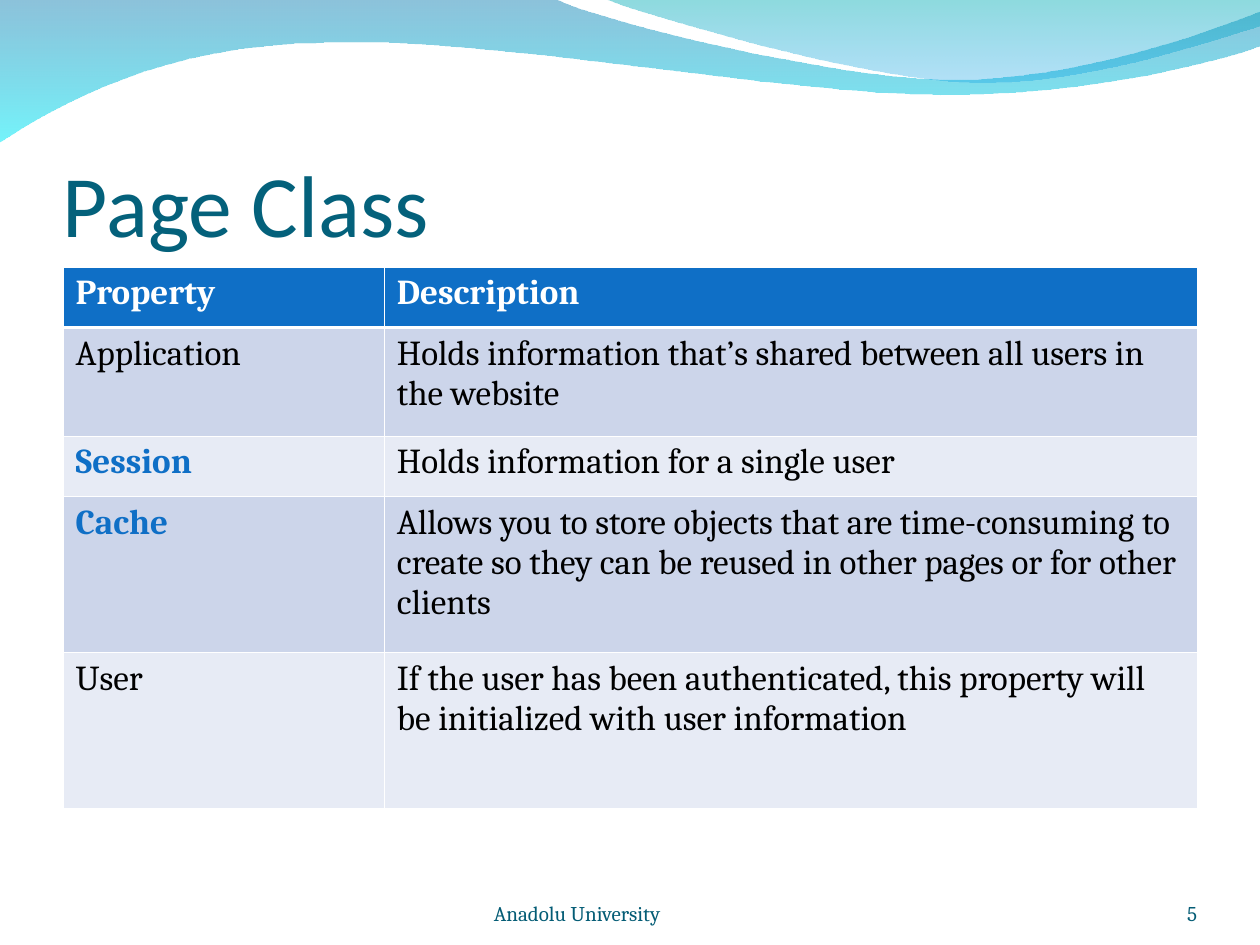
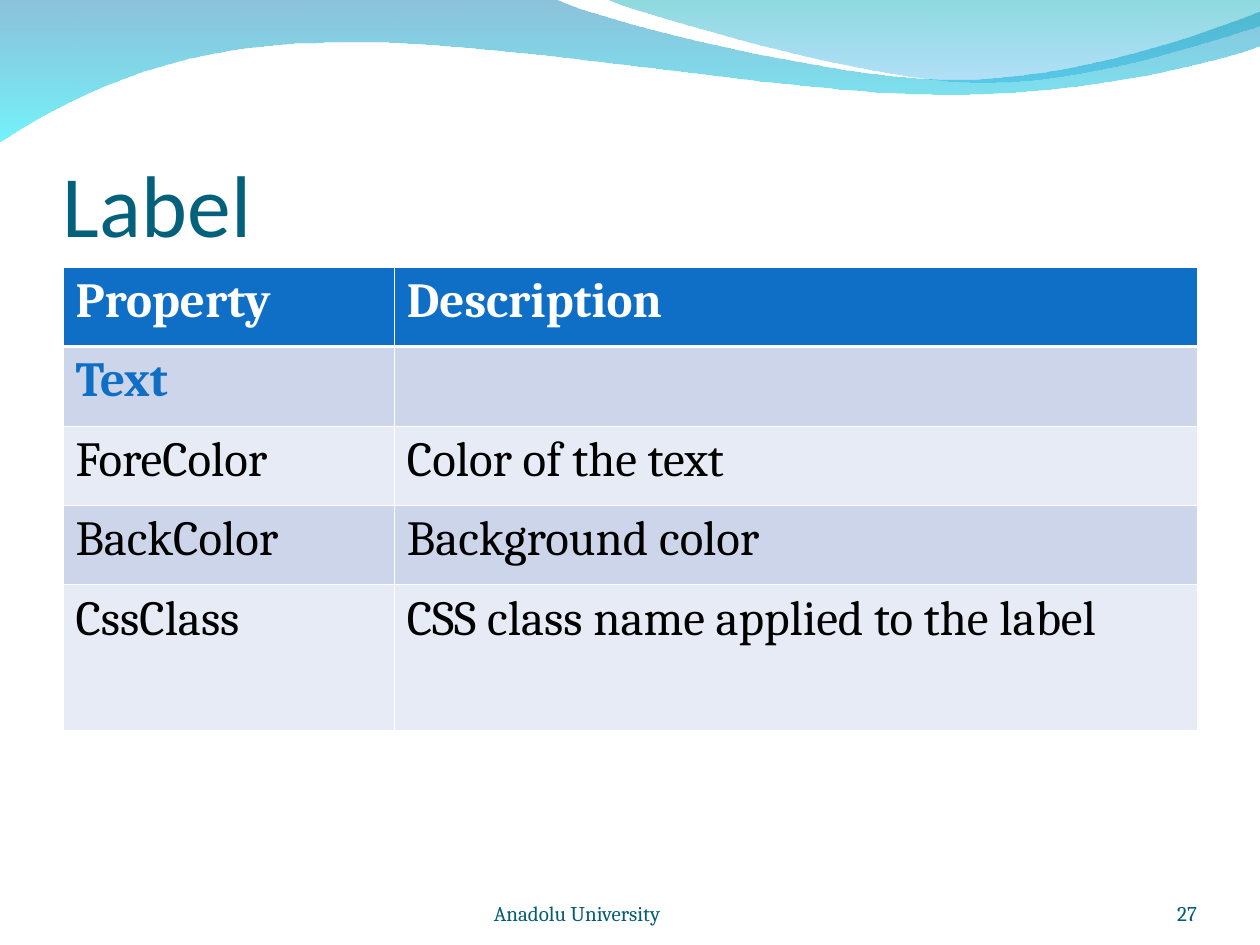
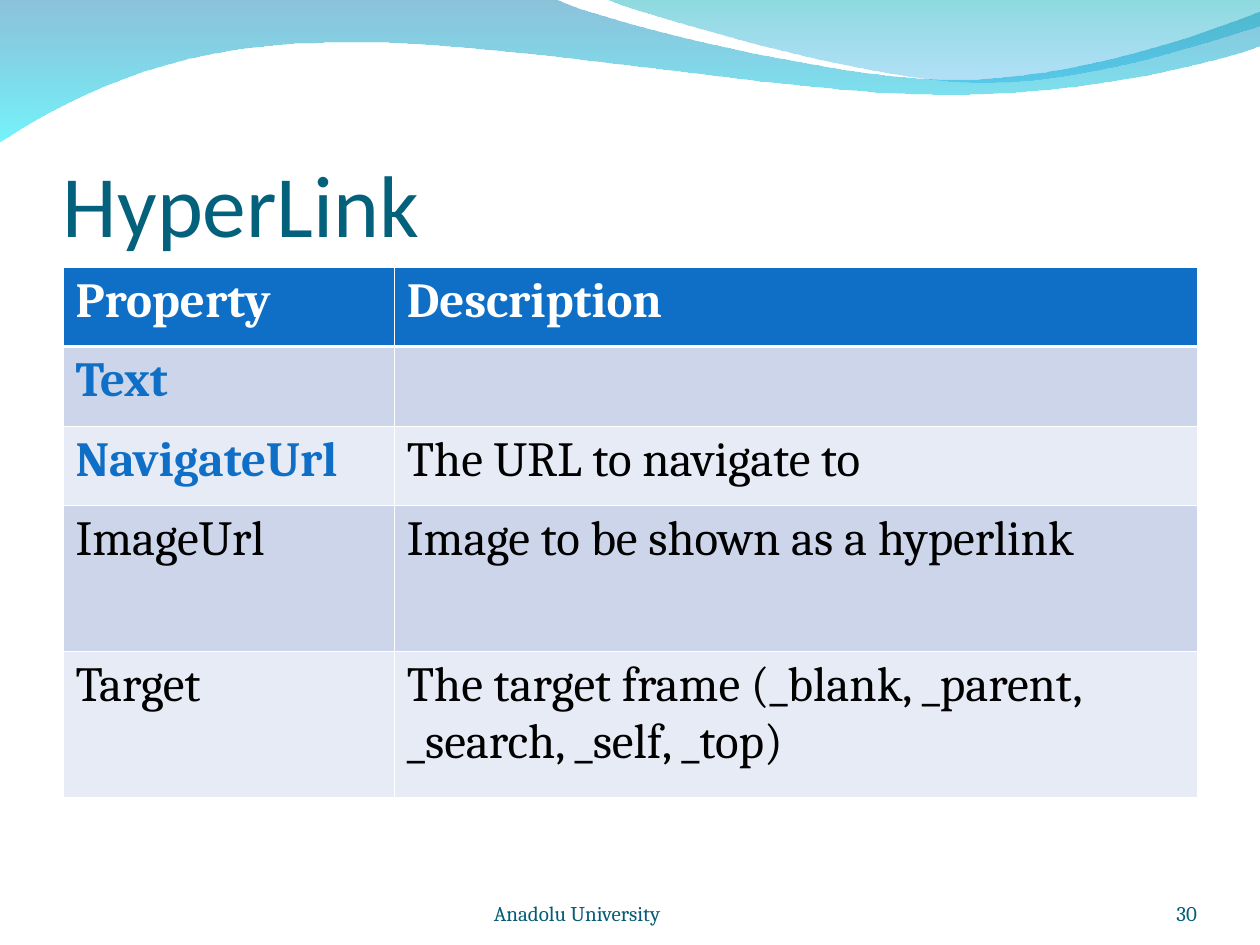
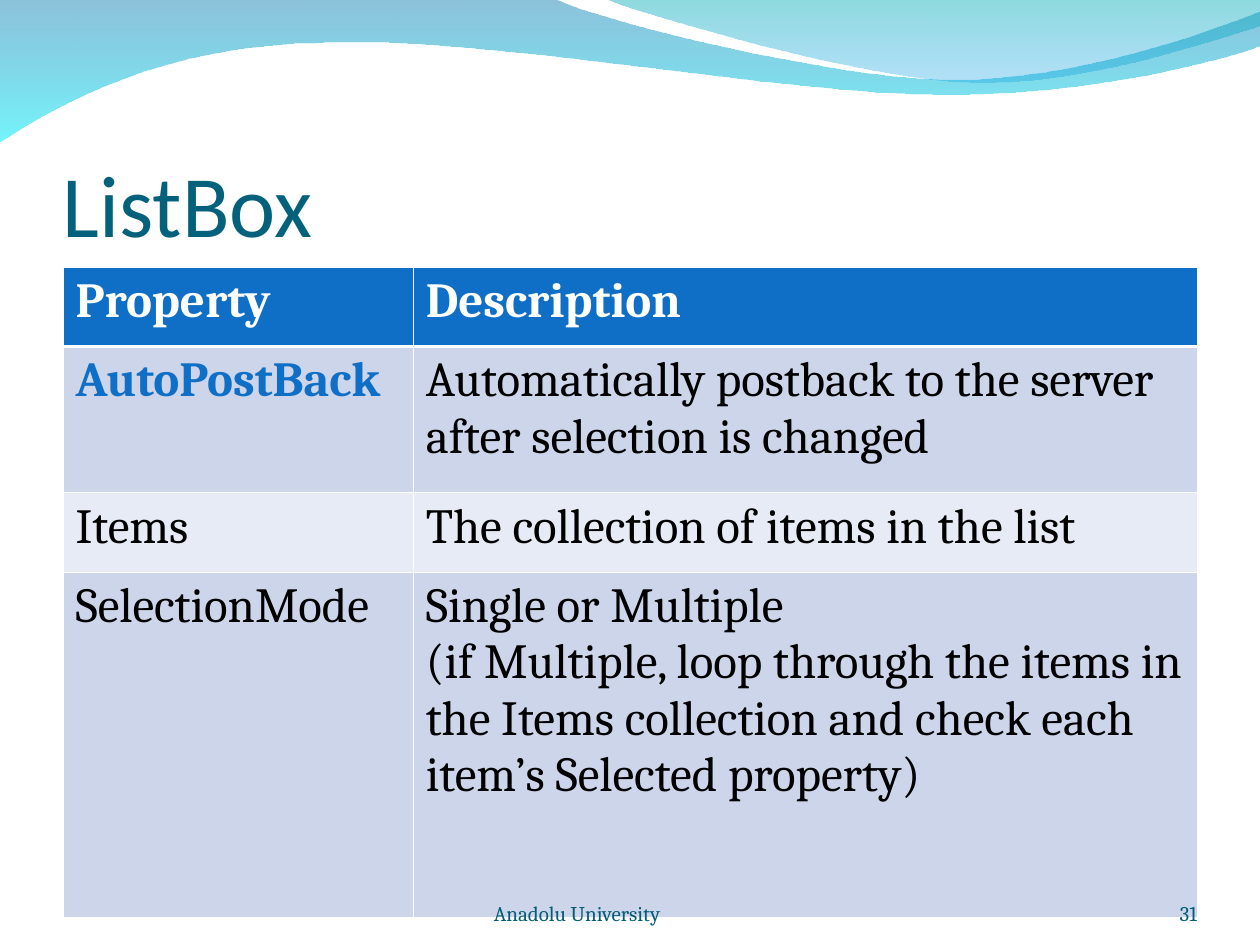
"""Build four slides describing the properties of web page classes."""
from dataclasses import dataclass

from lxml.etree import SubElement
from pptx import Presentation
from pptx.dml.color import RGBColor
from pptx.enum.text import MSO_ANCHOR, PP_ALIGN
from pptx.oxml.ns import qn
from pptx.util import Inches, Pt


@dataclass(frozen=True)
class Theme:
    """Colours, fonts and type sizes of the deck."""

    title_colour: str = "04617B"
    footer_colour: str = "045C75"
    accent: str = "0F6FC6"
    body: str = "000000"
    white: str = "FFFFFF"
    bands: tuple = ("CCD5EA", "E7EBF5")
    wave_gradient: tuple = (("0079AF", 45), ("00EBF8", 55))
    crest_gradient: tuple = (("00ADB6", 45), ("009BE5", 30))
    title_font: str = "Calibri"
    body_font: str = "Cambria"
    title_size: int = 50
    table_size: int = 28
    compact_size: int = 20
    footer_size: int = 12
    thin_line: float = 0.45
    header_line: float = 1.47


COLUMNS, ROWS = 100, 75
MARGIN, CONTENT_WIDTH = 5, 90
CURVE_STEPS = 16
FOOTER = "Anadolu University"
LINE, TALL_LINE = 6.3, 11.6

WAVE = [
    [(0, -0.1)],
    [(44, -0.1)],
    [(47.6, 1.7), (66.4, 6.3), (75.8, 6.3)],
    [(85.3, 6.3), (95.8, 2.6), (100, 0.9)],
    [(100.1, 3.6)],
    [(98.3, 4.4), (87, 7.6), (74.6, 7.5)],
    [(62.2, 7.5), (38.2, 2.8), (25.7, 3.4)],
    [(12.9, 3.5), (4.6, 8.3), (-0.1, 11.3)],
]
CREST = [
    [(47.9, -0.1)],
    [(50.9, 1.1), (68.2, 6.2), (76.9, 6.5)],
    [(85.6, 6.9), (96.1, 3.2), (100, 2.1)],
    [(100, 0)],
]


def trace(segments):
    """Turn line and cubic curve segments into a list of points."""
    points = [segments[0][0]]
    for segment in segments[1:]:
        if len(segment) == 1:
            points.append(segment[0])
            continue
        controls = [points[-1], *segment]
        for step in range(1, CURVE_STEPS + 1):
            t = step / CURVE_STEPS
            weights = ((1 - t) ** 3, 3 * t * (1 - t) ** 2, 3 * t * t * (1 - t), t ** 3)
            points.append(tuple(
                sum(weight * control[axis] for weight, control in zip(weights, controls))
                for axis in (0, 1)
            ))
    return points


class Deck:
    """Holds the style and the current slide, and draws elements on it."""

    def __init__(self, theme):
        """Start an empty presentation."""
        self.theme = theme
        self.presentation = Presentation()
        self.presentation.slide_width = Inches(10)
        self.presentation.slide_height = Inches(7.5)
        self.slide = None

    def column(self, count):
        """Give the length of a number of grid columns."""
        return round(self.presentation.slide_width * count / COLUMNS)

    def row(self, count):
        """Give the length of a number of grid rows."""
        return round(self.presentation.slide_height * count / ROWS)

    def add_property_slide(self, title, number, entries, name_width, heights, size, highlighted):
        """Add a slide with waves, title and table, and the footer in front."""
        self.slide = self.presentation.slides.add_slide(self.presentation.slide_layouts[6])
        self.add_wave(WAVE, self.theme.wave_gradient)
        self.add_wave(CREST, self.theme.crest_gradient)
        self.add_title(title)
        self.add_property_table(entries, name_width, heights, size, highlighted)
        self.add_footer(number)

    def add_wave(self, segments, gradient):
        """Draw a translucent curved band."""
        points = [(self.column(x), self.row(y)) for x, y in trace(segments)]
        builder = self.slide.shapes.build_freeform(*points[0])
        builder.add_line_segments(points[1:], close=True)
        shape = builder.convert_to_shape()
        shape.shadow.inherit = False
        shape.line.fill.background()
        shape.fill.gradient()
        shape.fill.gradient_angle = 270
        for stop, (colour, _) in zip(shape.fill.gradient_stops, gradient):
            stop.color.rgb = RGBColor.from_string(colour)
        for element, (_, opacity) in zip(shape.element.iter(qn("a:srgbClr")), gradient):
            SubElement(element, qn("a:alpha"), val=str(opacity * 1000))

    def add_run(self, paragraph, text, size, colour, font=None, bold=False):
        """Append a styled run to a paragraph."""
        run = paragraph.add_run()
        run.text = text
        run.font.name = font or self.theme.body_font
        run.font.size = Pt(size)
        run.font.bold = bold
        run.font.color.rgb = RGBColor.from_string(colour)

    def add_text_box(self, left, top, width, height, inset_top=0):
        """Add a bottom-anchored box and return its first paragraph."""
        shape = self.slide.shapes.add_textbox(
            self.column(left), self.row(top), self.column(width), self.row(height))
        frame = shape.text_frame
        frame.word_wrap = True
        frame.vertical_anchor = MSO_ANCHOR.BOTTOM
        frame.margin_left = frame.margin_right = frame.margin_bottom = 0
        frame.margin_top = self.row(inset_top)
        return frame.paragraphs[0]

    def add_title(self, text):
        """Write the slide title."""
        paragraph = self.add_text_box(MARGIN, 7.7, CONTENT_WIDTH, 12.5, inset_top=0.5)
        self.add_run(paragraph, text, self.theme.title_size, self.theme.title_colour,
                     self.theme.title_font)

    def add_footer(self, number):
        """Write the slide number and the tabbed footer."""
        number_paragraph = self.add_text_box(86.7, 69.5, 8.3, 4)
        number_paragraph.alignment = PP_ALIGN.RIGHT
        footer_paragraph = self.add_text_box(29.2, 69.5, 36.7, 4)
        properties = footer_paragraph._p.get_or_add_pPr()
        tabs = SubElement(properties, qn("a:tabLst"))
        SubElement(tabs, qn("a:tab"), pos=str(self.column(10)), algn="l")
        for paragraph, text in ((number_paragraph, str(number)),
                                (footer_paragraph, "\t" + FOOTER)):
            self.add_run(paragraph, text, self.theme.footer_size, self.theme.footer_colour)

    def add_borders(self, cell, top, bottom):
        """Draw white lines around a cell."""
        properties = cell._tc.get_or_add_tcPr()
        thin = self.theme.thin_line
        for side, width in (("L", thin), ("R", thin), ("T", top), ("B", bottom)):
            line = SubElement(properties, qn(f"a:ln{side}"), w=str(Pt(width)))
            fill = SubElement(line, qn("a:solidFill"))
            SubElement(fill, qn("a:srgbClr"), val=self.theme.white)

    def add_property_table(self, entries, name_width, heights, size, highlighted):
        """Add a banded table of properties with the key names highlighted."""
        theme = self.theme
        records = [("Property", "Description"), *entries]
        table = self.slide.shapes.add_table(
            len(records), 2, self.column(MARGIN), self.row(21.2),
            self.column(CONTENT_WIDTH), self.row(sum(heights))).table
        table.horz_banding = False
        for column, width in zip(table.columns, (name_width, CONTENT_WIDTH - name_width)):
            column.width = self.column(width)
        for index, (record, height) in enumerate(zip(records, heights)):
            table.rows[index].height = self.row(height)
            header = index == 0
            top = theme.header_line if index == 1 else theme.thin_line
            bottom = theme.header_line if header else theme.thin_line
            for position, text in enumerate(record):
                cell = table.cell(index, position)
                self.add_borders(cell, top, bottom)
                cell.fill.solid()
                cell.fill.fore_color.rgb = RGBColor.from_string(
                    theme.accent if header else theme.bands[(index - 1) % 2])
                key = position == 0 and text in highlighted
                colour = theme.white if header else theme.accent if key else theme.body
                self.fill_cell(cell, text, size, colour, header or key)

    def fill_cell(self, cell, text, size, colour, bold):
        """Write each line of text as a paragraph of the cell."""
        frame = cell.text_frame
        for index, line in enumerate(text.splitlines()):
            paragraph = frame.add_paragraph() if index else frame.paragraphs[0]
            self.add_run(paragraph, line, size, colour, bold=bold)


def main():
    """Build and save the slides."""
    theme = Theme()
    deck = Deck(theme)

    deck.add_property_slide("Page Class", 5, [
        ("Application", "Holds information that’s shared between all users in the website"),
        ("Session", "Holds information for a single user"),
        ("Cache", "Allows you to store objects that are time-consuming to create so they "
                  "can be reused in other pages or for other clients"),
        ("User", "If the user has been authenticated, this property will be initialized "
                 "with user information"),
    ], 25.5, [4.8, 8.6, 4.8, 12.4, 12.4], theme.compact_size, {"Session", "Cache"})

    deck.add_property_slide("Label", 27, [
        ("Text", ""),
        ("ForeColor", "Color of the text"),
        ("BackColor", "Background color"),
        ("CssClass", "CSS class name applied to the label"),
    ], 26.3, [LINE] * 4 + [TALL_LINE], theme.table_size, {"Text"})

    deck.add_property_slide("HyperLink", 30, [
        ("Text", ""),
        ("NavigateUrl", "The URL to navigate to"),
        ("ImageUrl", "Image to be shown as a hyperlink"),
        ("Target", "The target frame (_blank, _parent, _search, _self, _top)"),
    ], 26.3, [LINE] * 3 + [TALL_LINE] * 2, theme.table_size, {"Text", "NavigateUrl"})

    deck.add_property_slide("ListBox", 31, [
        ("AutoPostBack", "Automatically postback to the server after selection is changed"),
        ("Items", "The collection of items in the list"),
        ("SelectionMode", "Single or Multiple\n(if Multiple, loop through the items in the "
                          "Items collection and check each item’s Selected property)"),
    ], 27.8, [LINE, TALL_LINE, LINE, 27.4], theme.table_size, {"AutoPostBack"})

    deck.presentation.save("out.pptx")


if __name__ == "__main__":
    main()
